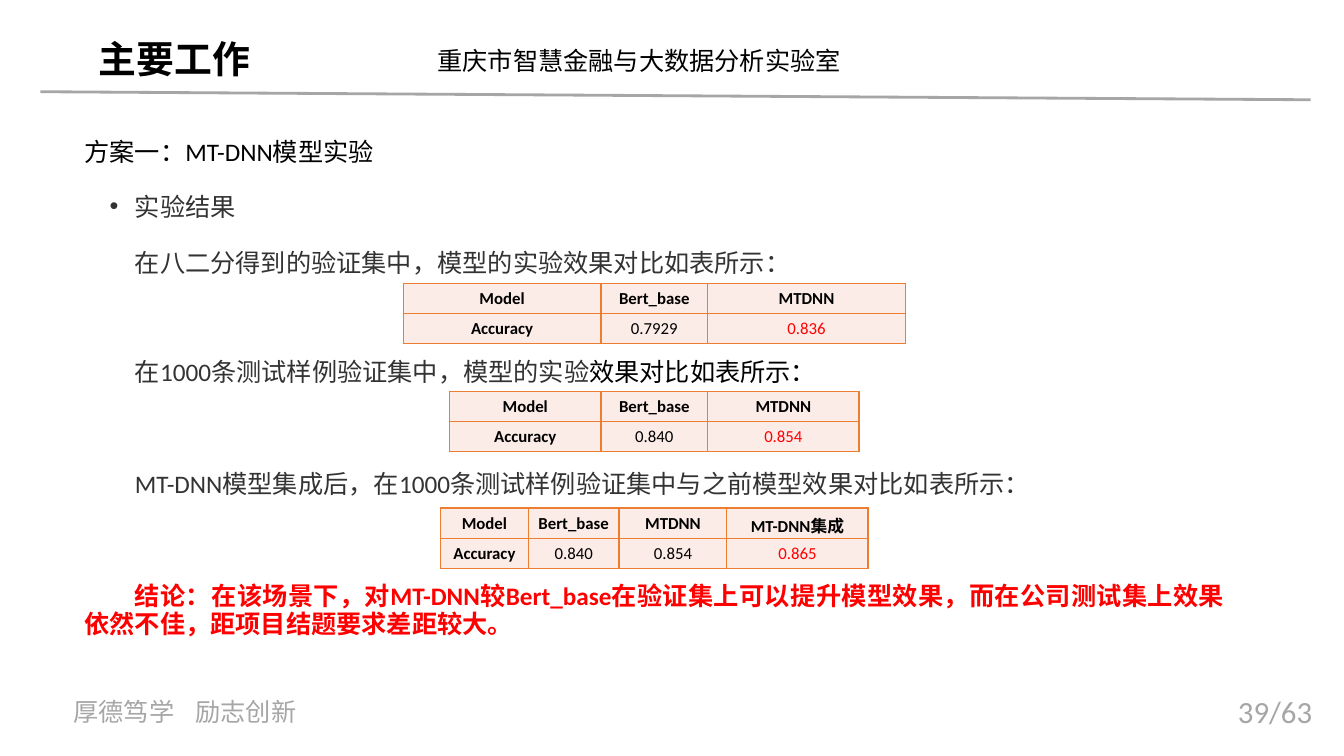
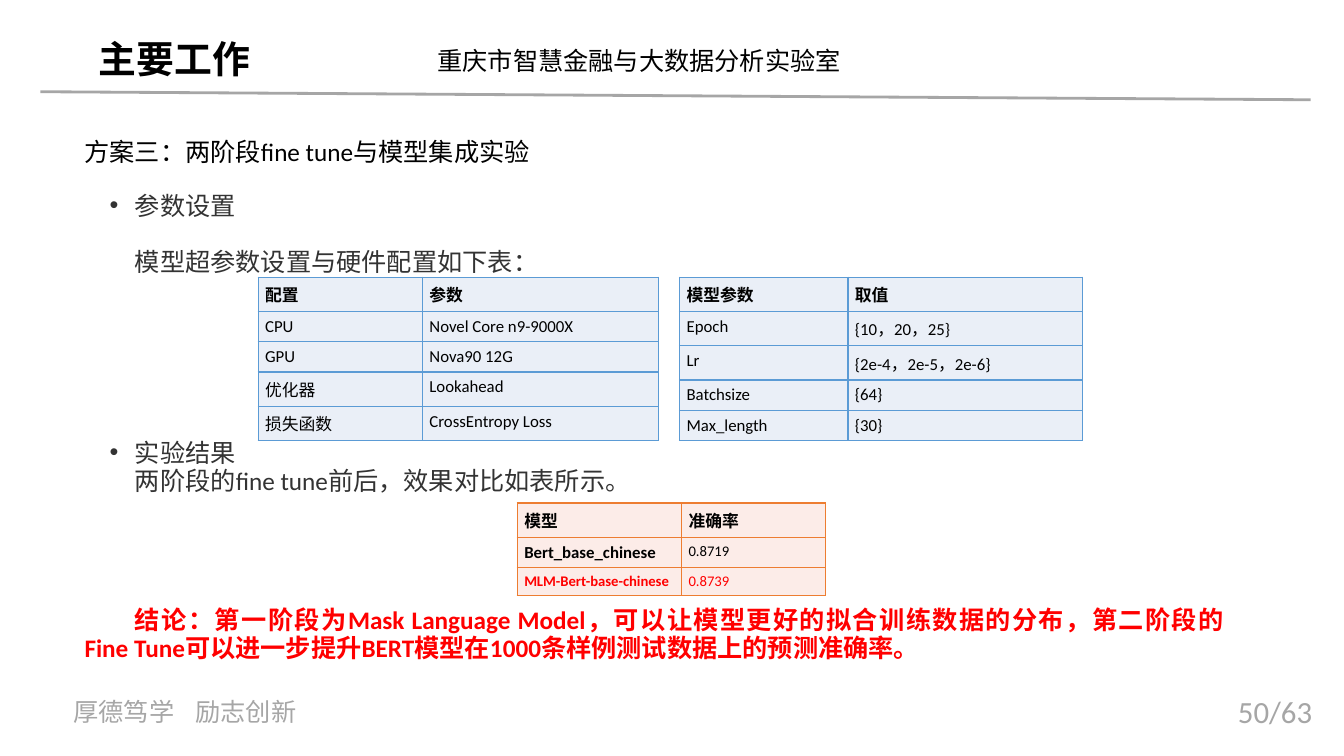
"""Build two experiment slides with a shared frame, body text and result tables."""
from dataclasses import dataclass

from lxml import etree
from pptx import Presentation
from pptx.dml.color import RGBColor
from pptx.enum import shapes, text
from pptx.oxml import ns
from pptx.util import Inches, Pt


@dataclass(frozen=True)
class Theme:
    """Colours, fonts and type sizes."""
    black: str = "000000"
    body: str = "333333"
    red: str = "FF0000"
    grey: str = "A6A6A6"
    orange: tuple = ("ED7D31", "FCECE8")
    blue: tuple = ("5B9BD5", "EAEFF7")
    latin: str = "Calibri"
    cjk: str = "Noto Sans CJK SC"
    title: float = 27
    page: float = 22
    text: float = 18
    cell: float = 12
    small: float = 10.5


T = Theme()
LAYOUTS = {"head": (0, 0), "bullet": (0.5, -0.25), "para": (0, 0.5)}


def sub(parent, tag, **attrs):
    """Append a DrawingML element."""
    return etree.SubElement(parent, ns.qn("a:" + tag), attrs)


def style_run(r, size, color, bold=False, font=T.latin):
    """Format one run, with the East Asian font beside the Latin one."""
    r.font.size = Pt(size)
    r.font.bold = bold
    r.font.color.rgb = RGBColor.from_string(color)
    r.font.name = font
    sub(r._r.get_or_add_rPr(), "ea", typeface=T.cjk)


def add_label(s, box, words, size, color, wrap=True, tab=None, **font):
    """Add a one-line text box, optionally with a tab stop."""
    tf = s.shapes.add_textbox(*map(Inches, box)).text_frame
    tf.word_wrap = wrap
    p = tf.paragraphs[0]
    p.text = words
    if tab:
        tabs = sub(p._p.get_or_add_pPr(), "tabLst")
        sub(tabs, "tab", pos=str(Inches(tab)), algn="l")
    for r in p.runs:
        style_run(r, size, color, **font)


def add_frame(s, page):
    """Add the title, laboratory name, rule, motto and page number."""
    add_label(s, (0.88, 0.31, 1.72, 0.56), "主要工作", T.title, T.black,
              wrap=False, bold=True, font=T.cjk)
    add_label(s, (4.24, 0.4, 4.29, 0.4), "重庆市智慧金融与大数据分析实验室", T.text, T.black)
    rule = s.shapes.add_connector(shapes.MSO_CONNECTOR.STRAIGHT, Inches(0.4),
                                  Inches(0.91), Inches(13), Inches(0.99))
    rule.line.color.rgb = RGBColor.from_string(T.grey)
    rule.line.width = Pt(2)
    sub(rule._element.spPr, "effectLst")
    add_label(s, (0.63, 6.86, 2.99, 0.4), "厚德笃学\t励志创新", T.text, T.grey, tab=1.21)
    add_label(s, (12.18, 6.82, 1.15, 0.47), page, T.page, T.grey)


def add_body(s, items):
    """Add the body: each item is a layout, the space before and coloured runs."""
    tf = s.shapes.add_textbox(*map(Inches, (0.74, 1.33, 11.5, 5.46))).text_frame
    tf.word_wrap = True
    for i, (layout, before, *runs) in enumerate(items):
        p = tf.add_paragraph() if i else tf.paragraphs[0]
        margin, indent = LAYOUTS[layout]
        pPr = p._p.get_or_add_pPr()
        pPr.set("marL", str(Inches(margin)))
        pPr.set("indent", str(Inches(indent)))
        if layout == "bullet":
            sub(pPr, "buClr").append(etree.Element(ns.qn("a:srgbClr"), val=T.body))
            sub(pPr, "buFont", typeface="Arial")
            sub(pPr, "buChar", char="•")
        p.alignment = text.PP_ALIGN.JUSTIFY
        p.line_spacing = Pt(20)
        p.space_before = Pt(before)
        for words, color in runs:
            r = p.add_run()
            r.text = words
            style_run(r, T.text, color, bold=color == T.red,
                      font=T.cjk if layout == "bullet" else T.latin)


def style_cell(cell, border, fill):
    """Give a cell its margins, fill and four borders."""
    cell.margin_left = cell.margin_right = Inches(0.07)
    cell.margin_top, cell.margin_bottom = Inches(0.05), 0
    tcPr = cell._tc.get_or_add_tcPr()
    for side in ("lnL", "lnR", "lnT", "lnB"):
        line = sub(tcPr, side, w=str(Pt(1)))
        sub(sub(line, "solidFill"), "srgbClr", val=border)
    cell.fill.solid()
    cell.fill.fore_color.rgb = RGBColor.from_string(fill)


def add_grid(s, at, cols, heights, rows, palette=T.orange, align=text.PP_ALIGN.LEFT,
             bold_first=True, red=(), small=()):
    """Add a table with bold headings; red and small list (row, column) cells."""
    frame = s.shapes.add_table(len(rows), len(cols), *map(Inches, (*at, sum(cols), sum(heights))))
    table = frame.table
    table.first_row = table.horz_banding = False
    for col, width in zip(table.columns, cols):
        col.width = Inches(width)
    for row, height in zip(table.rows, heights):
        row.height = Inches(height)
    for i, row in enumerate(rows):
        for j, words in enumerate(row):
            cell = table.cell(i, j)
            style_cell(cell, *palette)
            p = cell.text_frame.paragraphs[0]
            p.text = words
            p.alignment = align
            style_run(p.runs[0], T.small if (i, j) in small else T.cell,
                      T.red if (i, j) in red else T.black,
                      bold=i == 0 or (bold_first and j == 0))


def add_comparison(s, at, cols, models, scores):
    """Add a centred accuracy table whose last score is red."""
    add_grid(s, at, cols, [0.3, 0.3], [["Model", *models], ["Accuracy", *scores]],
             align=text.PP_ALIGN.CENTER, red={(1, len(scores))})


def build_mtdnn(s):
    """Fill the slide on the MT-DNN experiment."""
    add_body(s, [
        ("head", 0, ("方案一：MT-DNN模型实验", T.black)),
        ("bullet", 18.6, ("实验结果", T.body)),
        ("para", 20, ("在八二分得到的验证集中，模型的实验效果对比如表所示：", T.body)),
        ("para", 58, ("在1000条测试样例验证集中，模型的实验", T.body),
         ("效果对比如表所示：", T.black)),
        ("para", 60, ("MT-DNN模型集成后，在1000条测试样例验证集中与之前模型效果对比如表所示：", T.body)),
        ("para", 60, ("结论：在该场景下，对MT-DNN较Bert_base在验证集上可以提升模型效果，"
                      "而在公司测试集上效果依然不佳，距项目结题要求差距较大。", T.red)),
    ])
    models = ["Bert_base", "MTDNN"]
    add_comparison(s, (4, 2.81), [1.96, 1.06, 1.96], models, ["0.7929", "0.836"])
    add_comparison(s, (4.46, 3.88), [1.5, 1.06, 1.5], models, ["0.840", "0.854"])
    add_comparison(s, (4.37, 5.04), [0.87, 0.9, 1.07, 1.4], models + ["MT-DNN集成"],
                   ["0.840", "0.854", "0.865"])


def build_fine_tune(s):
    """Fill the slide on two-stage fine tuning."""
    add_body(s, [
        ("head", 0, ("方案三：两阶段fine tune与模型集成实验", T.black)),
        ("bullet", 18, ("参数设置", T.body)),
        ("para", 20, ("模型超参数设置与硬件配置如下表：", T.body)),
        ("bullet", 116.4, ("实验结果", T.body)),
        ("para", 0, ("两阶段的fine tune前后，效果对比如表所示。", T.body)),
        ("para", 79.3, ("结论：第一阶段为Mask Language Model，可以让模型更好的拟合训练数据的分布，"
                        "第二阶段的 Fine Tune可以进一步提升BERT模型在1000条样例测试数据上的预测准确率。",
                        T.red)),
    ])
    add_grid(s, (2.56, 2.75), [1.63, 2.34], [0.34, 0.3, 0.3, 0.34, 0.34], [
        ["配置", "参数"],
        ["CPU", "Novel Core n9-9000X"],
        ["GPU", "Nova90 12G"],
        ["优化器", "Lookahead"],
        ["损失函数", "CrossEntropy Loss"],
    ], palette=T.blue, bold_first=False)
    add_grid(s, (6.74, 2.75), [1.67, 2.33], [0.34, 0.34, 0.34, 0.3, 0.3], [
        ["模型参数", "取值"],
        ["Epoch", "{10，20，25}"],
        ["Lr", "{2e-4，2e-5，2e-6}"],
        ["Batchsize", "{64}"],
        ["Max_length", "{30}"],
    ], palette=T.blue, bold_first=False)
    add_grid(s, (5.13, 4.99), [1.63, 1.43], [0.34, 0.3, 0.28], [
        ["模型", "准确率"],
        ["Bert_base_chinese", "0.8719"],
        ["MLM-Bert-base-chinese", "0.8739"],
    ], red={(2, 0), (2, 1)}, small={(1, 1), (2, 0), (2, 1)})


def main():
    """Build and save the presentation."""
    prs = Presentation()
    prs.slide_width, prs.slide_height = Inches(13.33), Inches(7.5)
    for page, build in (("39/63", build_mtdnn), ("50/63", build_fine_tune)):
        s = prs.slides.add_slide(prs.slide_layouts[6])
        add_frame(s, page)
        build(s)
    prs.save("out.pptx")


if __name__ == "__main__":
    main()
